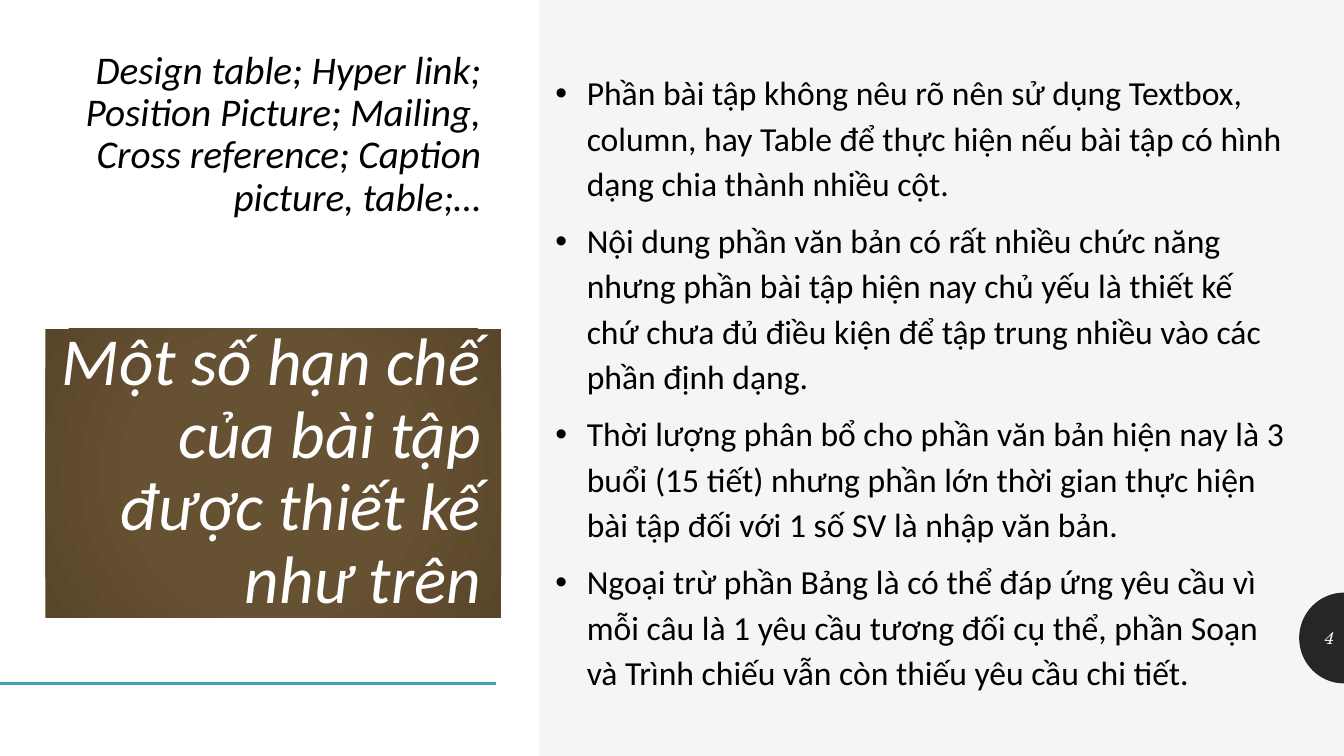
"""Build a slide on the limits of the exercises, with a title panel and four bullets."""
from dataclasses import dataclass
from math import cos, pi, sin

from lxml import etree
from pptx import Presentation
from pptx.dml.color import RGBColor
from pptx.enum.shapes import MSO_CONNECTOR, MSO_SHAPE
from pptx.enum.text import MSO_ANCHOR, PP_ALIGN
from pptx.oxml import parse_xml
from pptx.oxml.ns import nsdecls, qn
from pptx.util import Emu, Inches, Pt

RECT = MSO_SHAPE.RECTANGLE
LINE = MSO_CONNECTOR.STRAIGHT
TOP, MID, LOW = MSO_ANCHOR.TOP, MSO_ANCHOR.MIDDLE, MSO_ANCHOR.BOTTOM
LEFT, RIGHT = PP_ALIGN.LEFT, PP_ALIGN.RIGHT

PAPER = RGBColor(0xF5, 0xF5, 0xF5)
WHITE = RGBColor(0xFF, 0xFF, 0xFF)
BLACK = RGBColor(0x00, 0x00, 0x00)
DARK = RGBColor(0x26, 0x26, 0x26)
TEAL = RGBColor(0x43, 0x9E, 0xB7)
BROWN = (
    (0, RGBColor(0x67, 0x53, 0x35)),
    (50, RGBColor(0x66, 0x51, 0x33)),
    (100, RGBColor(0x59, 0x45, 0x29)),
)

WIDTH, HEIGHT = Inches(13.333), Inches(7.5)
SANS, SERIF = "Calibri", "TeX Gyre Schola"
INDENT = 2.34

TOPICS = ("Design table; Hyper link; Position Picture; Mailing, "
          "Cross reference; Caption picture, table;…")
TITLE = "Một số hạn chế của bài tập được thiết kế như trên"
POINTS = (
    "Phần bài tập không nêu rõ nên sử dụng Textbox, column, hay Table để "
    "thực hiện nếu bài tập có hình dạng chia thành nhiều cột.",
    "Nội dung phần văn bản có rất nhiều chức năng nhưng phần bài tập hiện nay "
    "chủ yếu là thiết kế chứ chưa đủ điều kiện để tập trung nhiều vào các "
    "phần định dạng.",
    "Thời lượng phân bổ cho phần văn bản hiện nay là 3 buổi (15 tiết) nhưng "
    "phần lớn thời gian thực hiện bài tập đối với 1 số SV là nhập văn bản.",
    "Ngoại trừ phần Bảng là có thể đáp ứng yêu cầu vì mỗi câu là 1 yêu cầu "
    "tương đối cụ thể, phần Soạn và Trình chiếu vẫn còn thiếu yêu cầu chi tiết.",
)


@dataclass(frozen=True)
class Box:
    """Hold a place in percent of the slide's width and height."""
    x: float
    y: float
    w: float
    h: float


SIDE = Box(0, 0, 40.1, 100)
HEAD = Box(3.38, 0, 33.9, 29.07)
PANEL = Box(3.38, 43.47, 33.9, 38.27)
BODY = Box(40.58, 8.27, 56.03, 82.4)
DISC = Box(96.67, 78.4, 3.33, 12)
PAGE = Box(96.67, 81.73, 3.33, 5.33)
RULE = Box(0, 90.4, 36.9, 0)


def across(share: float) -> Emu:
    """Turn a percentage of the width into a length."""
    return Emu(round(WIDTH * share / 100))


def down(share: float) -> Emu:
    """Turn a percentage of the height into a length."""
    return Emu(round(HEIGHT * share / 100))


def frame(box: Box) -> tuple:
    """Return left, top, width and height of a box."""
    return across(box.x), down(box.y), across(box.w), down(box.h)


def paint(shape, color: RGBColor):
    """Give a shape a plain fill with no outline or shadow."""
    shape.fill.solid()
    shape.fill.fore_color.rgb = color
    shape.line.fill.background()
    shape.shadow.inherit = False


def block(slide, box: Box, color: RGBColor):
    """Draw a plain rectangle."""
    shape = slide.shapes.add_shape(RECT, *frame(box))
    paint(shape, color)
    return shape


def disc(slide, box: Box, color: RGBColor, steps: int = 48) -> None:
    """Draw a half disc that opens on the right edge."""
    left, top, wide, tall = frame(box)
    arc = [
        (left + wide * (1 - sin(pi * i / steps)),
         top + tall * (1 - cos(pi * i / steps)) / 2)
        for i in range(steps + 1)
    ]
    path = slide.shapes.build_freeform(*arc[0])
    path.add_line_segments(arc[1:], close=True)
    paint(path.convert_to_shape(), color)


def rule(slide, box: Box, color: RGBColor, width: float) -> None:
    """Draw a straight line without a shadow."""
    left, top, wide, tall = frame(box)
    line = slide.shapes.add_connector(LINE, left, top, left + wide, top + tall)
    line.line.color.rgb = color
    line.line.width = Pt(width)
    etree.SubElement(line._element.spPr, qn("a:effectLst"))


def glow(shape, stops: tuple) -> None:
    """Give a shape a round gradient and a soft white shadow."""
    props = shape._element.spPr
    marks = "".join(
        f'<a:gs pos="{pos * 1000}"><a:srgbClr val="{color}"/></a:gs>'
        for pos, color in stops
    )
    fade = parse_xml(
        f'<a:gradFill {nsdecls("a")} rotWithShape="1"><a:gsLst>{marks}</a:gsLst>'
        '<a:path path="circle"><a:fillToRect l="100000" t="100000" '
        'r="100000" b="100000"/></a:path></a:gradFill>'
    )
    props.replace(props.find(qn("a:solidFill")), fade)
    shade = parse_xml(
        f'<a:outerShdw {nsdecls("a")} blurRad="{Pt(10)}" dist="{Pt(2)}" '
        f'dir="5400000" rotWithShape="0"><a:srgbClr val="{WHITE}"/></a:outerShdw>'
    )
    props.find(qn("a:effectLst")).append(shade)


def write(shape, *texts: str, size: float, color: RGBColor, font: str = SANS,
          slant: bool = False, align=LEFT, anchor=TOP, pitch: float = 1,
          gap: float = 0, bullet: bool = False, inset: tuple = ()) -> None:
    """Write paragraphs into a shape."""
    text = shape.text_frame
    text.word_wrap = True
    text.vertical_anchor = anchor
    if inset:
        text.margin_left, text.margin_right = map(across, inset[::2])
        text.margin_top, text.margin_bottom = map(down, inset[1::2])
    for i, words in enumerate(texts):
        para = text.add_paragraph() if i else text.paragraphs[0]
        para.alignment = align
        para.line_spacing = pitch
        para.space_before = Pt(gap if i else 0)
        if bullet:
            props = para._p.get_or_add_pPr()
            props.set("marL", str(across(INDENT)))
            props.set("indent", str(-across(INDENT)))
            etree.SubElement(props, qn("a:buFont")).set("typeface", "Arial")
            etree.SubElement(props, qn("a:buChar")).set("char", "•")
        run = para.add_run()
        run.text = words
        run.font.name = font
        run.font.size = Pt(size)
        run.font.italic = slant
        run.font.color.rgb = color


def main() -> None:
    """Build and save the slide."""
    deck = Presentation()
    deck.slide_width, deck.slide_height = WIDTH, HEIGHT
    slide = deck.slides.add_slide(deck.slide_layouts[6])
    slide.background.fill.solid()
    slide.background.fill.fore_color.rgb = PAPER

    disc(slide, DISC, DARK)
    block(slide, SIDE, WHITE)
    rule(slide, RULE, TEAL, 2)

    label = {"slant": True, "align": RIGHT, "anchor": LOW, "pitch": 0.9,
             "inset": (0.75, 2.67, 1.5, 0)}
    write(block(slide, HEAD, WHITE), TOPICS, size=28, color=BLACK, **label)
    write(slide.shapes.add_textbox(*frame(BODY)), *POINTS, size=24,
          color=BLACK, pitch=1.12, gap=9, bullet=True)
    write(slide.shapes.add_textbox(*frame(PAGE)), "4", size=12, color=PAPER,
          font=SERIF, slant=True, align=RIGHT, anchor=MID)
    panel = block(slide, PANEL, WHITE)
    glow(panel, BROWN)
    write(panel, TITLE, size=48, color=WHITE, **label)
    deck.save("out.pptx")


if __name__ == "__main__":
    main()
